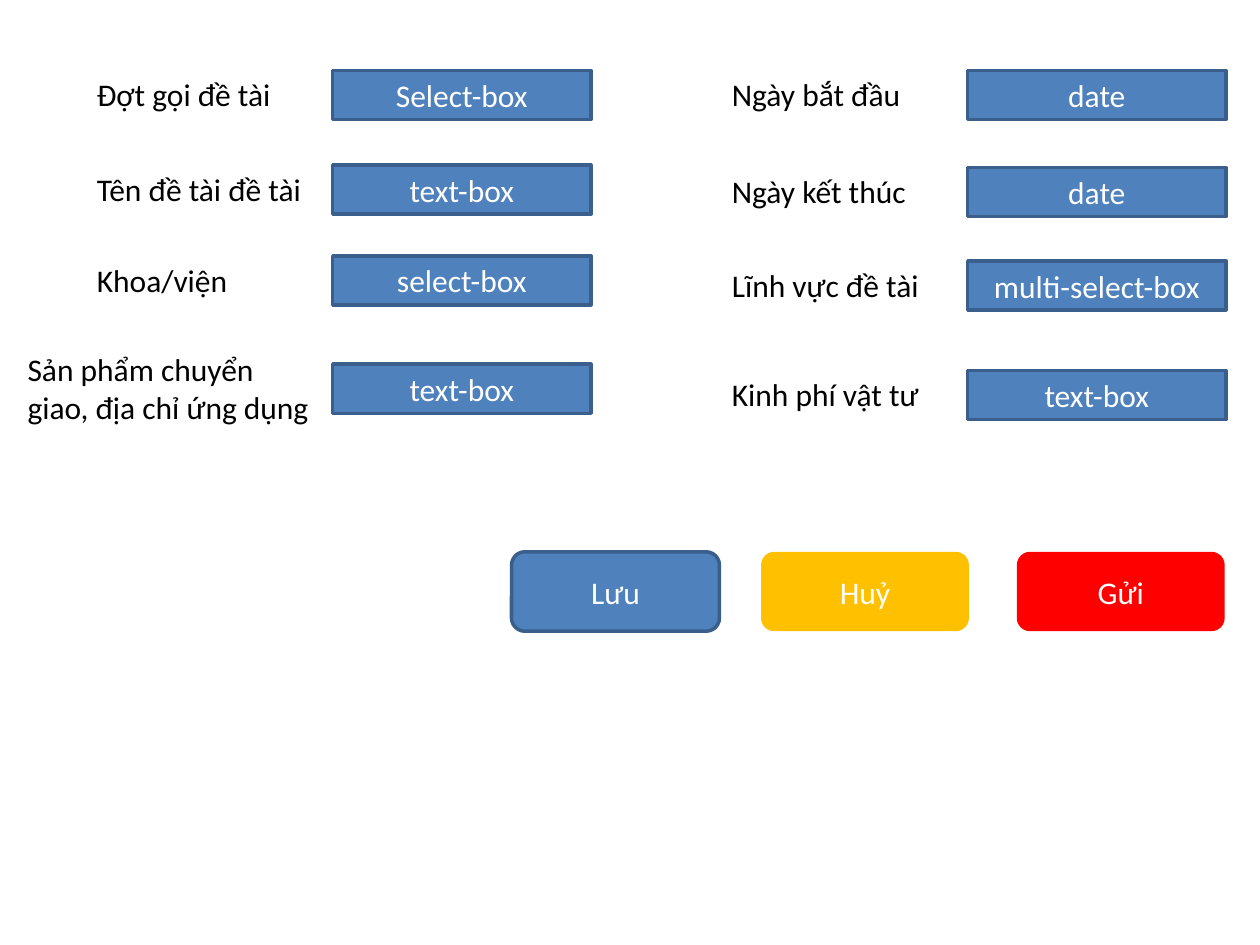
from pptx import Presentation
from pptx.dml.color import RGBColor
from pptx.enum.shapes import MSO_SHAPE
from pptx.enum.text import MSO_ANCHOR, MSO_AUTO_SIZE, PP_ALIGN
from pptx.util import Inches, Pt

BLUE = RGBColor(0x4F, 0x81, 0xBD)
DARK_BLUE = RGBColor(0x3A, 0x5F, 0x8C)
AMBER = RGBColor(0xFF, 0xC0, 0x00)
RED = RGBColor(0xFF, 0x00, 0x00)
WHITE = RGBColor(0xFF, 0xFF, 0xFF)
BLACK = RGBColor(0x00, 0x00, 0x00)


class FormSlide:
    font = "Calibri"
    size = Pt(18)

    def __init__(self, slide):
        self.slide = slide

    def set_text(self, frame, text, color, align):
        frame.word_wrap = True
        paragraph = frame.paragraphs[0]
        paragraph.alignment = align
        run = paragraph.add_run()
        run.text = text
        run.font.name = self.font
        run.font.size = self.size
        run.font.color.rgb = color

    def label(self, text, left, top, width=2.28, height=0.4):
        box = self.slide.shapes.add_textbox(
            Inches(left), Inches(top), Inches(width), Inches(height))
        self.set_text(box.text_frame, text, BLACK, PP_ALIGN.LEFT)
        box.text_frame.auto_size = MSO_AUTO_SIZE.SHAPE_TO_FIT_TEXT

    def box(self, kind, text, left, top, width, height, fill, line):
        shape = self.slide.shapes.add_shape(
            kind, Inches(left), Inches(top), Inches(width), Inches(height))
        shape.shadow.inherit = False
        shape.fill.solid()
        shape.fill.fore_color.rgb = fill
        if line is None:
            shape.line.fill.background()
        else:
            shape.line.color.rgb = line
            shape.line.width = Pt(2)
        shape.text_frame.vertical_anchor = MSO_ANCHOR.MIDDLE
        self.set_text(shape.text_frame, text, WHITE, PP_ALIGN.CENTER)

    def field(self, text, left, top):
        self.box(MSO_SHAPE.RECTANGLE, text, left, top, 2.05, 0.39, BLUE, DARK_BLUE)

    def button(self, text, left, fill, line=None):
        self.box(MSO_SHAPE.ROUNDED_RECTANGLE, text, left, 4.38, 1.65, 0.63, fill, line)


prs = Presentation()
prs.slide_width, prs.slide_height = Inches(10), Inches(7.5)
form = FormSlide(prs.slides.add_slide(prs.slide_layouts[6]))

FIELD_OFFSET = 1.97
LEFT_COLUMN, RIGHT_COLUMN = 0.67, 5.71
COLUMNS = {
    LEFT_COLUMN: [
        ("Đợt gọi đề tài", "Select-box", 0.56),
        ("Tên đề tài đề tài", "text-box", 1.31),
        ("Khoa/viện", "select-box", 2.03),
    ],
    RIGHT_COLUMN: [
        ("Ngày bắt đầu", "date", 0.56),
        ("Ngày kết thúc", "date", 1.33),
        ("Lĩnh vực đề tài", "multi-select-box", 2.07),
        ("Kinh phí vật tư", "text-box", 2.94),
    ],
}
for left, rows in COLUMNS.items():
    for caption, control, top in rows:
        form.field(control, left + FIELD_OFFSET, top)
        form.label(caption, left, top - 0.01)

form.field("text-box", LEFT_COLUMN + FIELD_OFFSET, 2.89)
form.label("Sản phẩm chuyển giao, địa chỉ ứng dụng", 0.12, 2.73, 2.52, 0.71)

form.button("Lưu", 4.06, BLUE, DARK_BLUE)
form.button("Huỷ", 6.04, AMBER)
form.button("Gửi", 8.07, RED)

prs.save("out.pptx")
